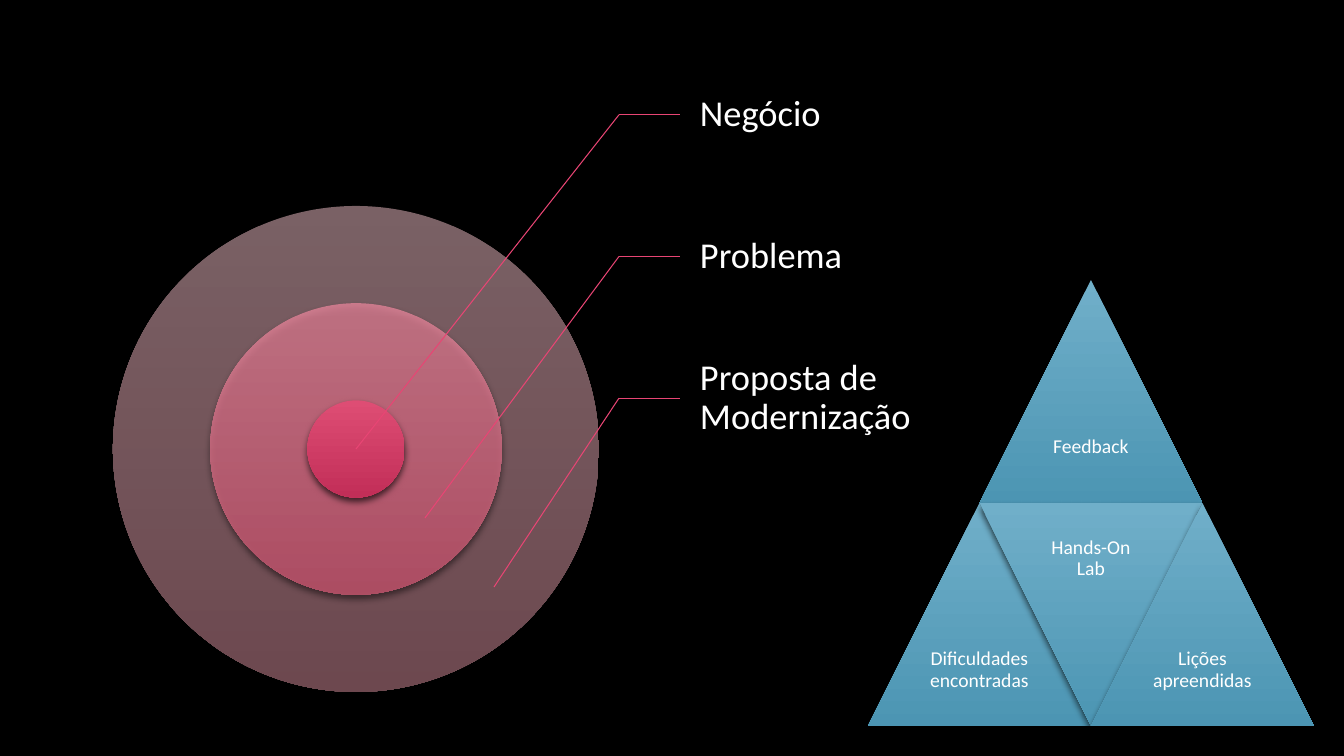
from dataclasses import dataclass

from lxml.etree import SubElement
from pptx import Presentation
from pptx.dml.color import RGBColor
from pptx.enum.shapes import MSO_CONNECTOR, MSO_SHAPE
from pptx.enum.text import MSO_ANCHOR, PP_ALIGN
from pptx.oxml.ns import qn
from pptx.util import Emu, Pt


@dataclass(frozen=True)
class Theme:
    font: str = "Calibri"
    background: str = "000000"
    text: str = "FFFFFF"
    callout: str = "E84574"
    callout_width: float = 0.75
    triangle: tuple = ("70AFC9", "4C95B3", 100)
    rings: tuple = (
        ("F4C2CB", "DA919E", 50),
        ("E9869C", "D45A76", 75),
        ("DE4D74", "C22E58", 100),
    )
    label_size: int = 26
    triangle_size: int = 14
    line_spacing: float = 0.9


THEME = Theme()
SLIDE_WIDTH, SLIDE_HEIGHT = 1344, 756
EMU_PER_PX = 12192000 / SLIDE_WIDTH


def px(length):
    return Emu(round(length * EMU_PER_PX))


def add_alpha(color, percent):
    SubElement(color, qn("a:alpha"), val=str(percent * 1000))


def add_shadow(properties):
    effects = SubElement(properties, qn("a:effectLst"))
    shadow = SubElement(
        effects, qn("a:outerShdw"), blurRad=str(Pt(5)), dist=str(Pt(3)),
        dir="5400000", rotWithShape="0",
    )
    color = SubElement(shadow, qn("a:srgbClr"), val="000000")
    add_alpha(color, 65)


def add_gradient_shape(slide, kind, left, top, size, gradient, rotation=0):
    shape = slide.shapes.add_shape(kind, px(left), px(top), px(size), px(size))
    shape.rotation = rotation
    shape.line.fill.background()
    shape.fill.gradient()
    shape.fill.gradient_angle = 270
    *colors, opacity = gradient
    for stop, position, color in zip(shape.fill.gradient_stops, (0, 1), colors):
        stop.position = position
        stop.color.rgb = RGBColor.from_string(color)
    properties = shape._element.spPr
    gradient_fill = properties.find(qn("a:gradFill"))
    gradient_fill.set("rotWithShape", "0")
    if opacity < 100:
        for color in gradient_fill.iter(qn("a:srgbClr")):
            add_alpha(color, opacity)
    add_shadow(properties)


def add_text(slide, left, top, width, height, text, size, alignment, inset, left_inset):
    shape = slide.shapes.add_textbox(px(left), px(top), px(width), px(height))
    frame = shape.text_frame
    frame.word_wrap = True
    frame.vertical_anchor = MSO_ANCHOR.MIDDLE
    frame.margin_left = px(left_inset)
    frame.margin_top = frame.margin_right = frame.margin_bottom = px(inset)
    paragraph = frame.paragraphs[0]
    paragraph.alignment = alignment
    paragraph.line_spacing = THEME.line_spacing
    run = paragraph.add_run()
    run.text = text
    run.font.name = THEME.font
    run.font.size = Pt(size)
    run.font.color.rgb = RGBColor.from_string(THEME.text)


def add_callout_line(slide, start, end):
    connector = slide.shapes.add_connector(
        MSO_CONNECTOR.STRAIGHT, *(px(value) for value in (*start, *end))
    )
    connector.line.color.rgb = RGBColor.from_string(THEME.callout)
    connector.line.width = Pt(THEME.callout_width)
    SubElement(connector._element.spPr, qn("a:effectLst"))


def add_pyramid(slide, left, top, size):
    side = size / 2
    parts = (
        ("Feedback", 1, 0, False),
        ("Dificuldades encontradas", 0, 1, False),
        ("Hands-On Lab", 1, 1, True),
        ("Lições apreendidas", 2, 1, False),
    )
    for text, column, row, inverted in parts:
        part_left = left + column * side / 2
        part_top = top + row * side
        add_gradient_shape(
            slide, MSO_SHAPE.ISOSCELES_TRIANGLE, part_left, part_top, side,
            THEME.triangle, 180 if inverted else 0,
        )
        text_top = part_top if inverted else part_top + side / 2
        add_text(
            slide, part_left + side / 4, text_top, side / 2, side / 2, text,
            THEME.triangle_size, PP_ALIGN.CENTER, 6, 6,
        )


def add_target(slide, left, top, size):
    for ratio, gradient in zip((1, 0.6, 0.2), THEME.rings):
        diameter = size * ratio
        offset = (size - diameter) / 2
        add_gradient_shape(
            slide, MSO_SHAPE.OVAL, left + offset, top + offset, diameter, gradient
        )


def add_callouts(slide, left, top, width, height, center, step):
    labels = ("Negócio", "Problema", "Proposta de Modernização")
    row_height = height / len(labels)
    for index, label in enumerate(labels):
        row_top = top + index * row_height
        add_text(
            slide, left, row_top, width, row_height, label,
            THEME.label_size, PP_ALIGN.LEFT, 4, 20,
        )
        middle = row_top + row_height / 2
        elbow = (left - 61, middle)
        target = (center[0] + index * step, center[1] + index * step)
        add_callout_line(slide, elbow, (left, middle))
        add_callout_line(slide, elbow, target)


def main():
    presentation = Presentation()
    presentation.slide_width = px(SLIDE_WIDTH)
    presentation.slide_height = px(SLIDE_HEIGHT)
    slide = presentation.slides.add_slide(presentation.slide_layouts[6])
    slide.background.fill.solid()
    slide.background.fill.fore_color.rgb = RGBColor.from_string(THEME.background)
    add_pyramid(slide, 868, 280, 446)
    add_target(slide, 113, 206, 486)
    add_callouts(slide, 680, 44, 243, 425, (356, 449), 69)
    presentation.save("out.pptx")


if __name__ == "__main__":
    main()
